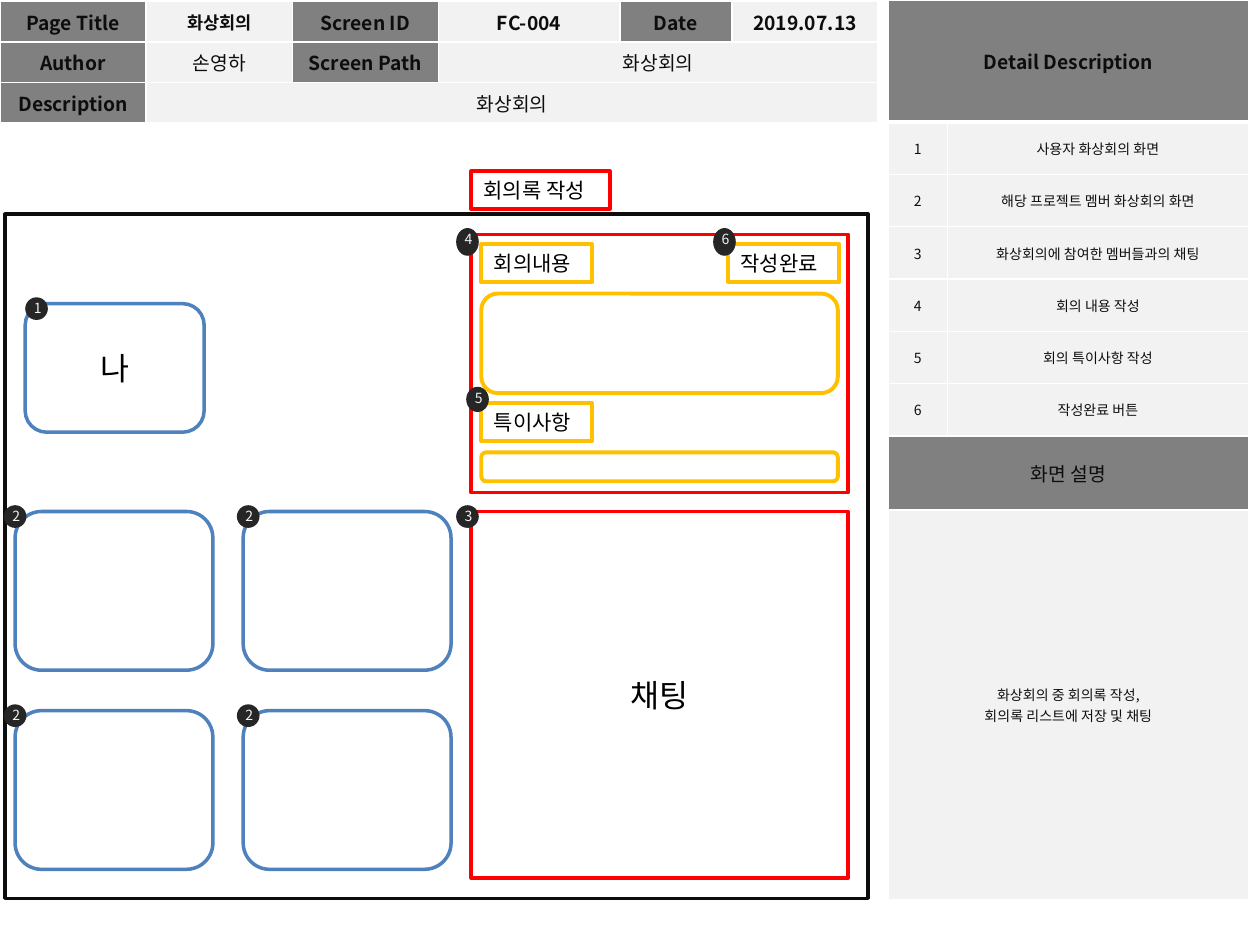
import pptx
import pptx.util
import pptx.dml.color
import pptx.enum.shapes
import pptx.enum.text
import pptx.oxml
import pptx.oxml.ns
from lxml import etree

Inches = pptx.util.Inches
Pt = pptx.util.Pt
RGB = pptx.dml.color.RGBColor.from_string
SHAPE = pptx.enum.shapes.MSO_SHAPE
ALIGN = pptx.enum.text.PP_ALIGN
MIDDLE = pptx.enum.text.MSO_ANCHOR.MIDDLE
FONT = "Noto Sans CJK KR"
COLORS = {
    "heading": "808080", "value": "F2F2F2", "ink": "0D0D0D", "black": "000000",
    "white": "FFFFFF", "badge": "262626", "video": "4F81BD", "panel": "FF0000",
    "field": "FFC000",
}


def write(frame, text, size, color, bold=False, align=ALIGN.CENTER):
    frame.text = text
    for paragraph in frame.paragraphs:
        paragraph.alignment = align
        for run in paragraph.runs:
            run.font.size = Pt(size)
            run.font.bold = bold
            run.font.name = FONT
            run.font.color.rgb = RGB(COLORS[color])
            east_asian = etree.SubElement(run.font._element, pptx.oxml.ns.qn("a:ea"))
            east_asian.set("typeface", FONT)


def outline(kind, box, color, width=2, text="", filled=True):
    frame = slide.shapes.add_shape(kind, *[Inches(v) for v in box])
    frame.shadow.inherit = False
    if filled:
        frame.fill.solid()
        frame.fill.fore_color.rgb = RGB(COLORS["white"])
    else:
        frame.fill.background()
    frame.line.color.rgb = RGB(COLORS[color])
    frame.line.width = Pt(width)
    if text:
        frame.text_frame.vertical_anchor = MIDDLE
        write(frame.text_frame, text, 18, "black")


deck = pptx.Presentation()
deck.slide_width, deck.slide_height = Inches(10), Inches(7.5)
slide = deck.slides.add_slide(deck.slide_layouts[6])

page_info = {
    "box": (0, 0.01, 6.97, 0.95),
    "columns": [1.16, 1.16, 1.16, 1.44, 0.89, 1.16],
    "rows": [0.31, 0.32, 0.32],
    "merges": [(1, 3, 5), (2, 1, 5)],
    "thick_row": None,
    "cells": [
        (0, 0, "Page Title", 11, True, "heading"),
        (0, 1, "화상회의", 10, True, "value"),
        (0, 2, "Screen ID", 11, True, "heading"),
        (0, 3, "FC-004", 11, True, "value"),
        (0, 4, "Date", 11, True, "heading"),
        (0, 5, "2019.07.13", 11, True, "value"),
        (1, 0, "Author", 11, True, "heading"),
        (1, 1, "손영하", 11, False, "value"),
        (1, 2, "Screen Path", 11, True, "heading"),
        (1, 3, "화상회의", 11, False, "value"),
        (2, 0, "Description", 11, True, "heading"),
        (2, 1, "화상회의", 11, False, "value"),
    ],
}
details = [
    "사용자 화상회의 화면", "해당 프로젝트 멤버 화상회의 화면",
    "화상회의에 참여한 멤버들과의 채팅", "회의 내용 작성",
    "회의 특이사항 작성", "작성완료 버튼",
]
description = {
    "box": (7.05, 0, 2.86, 7.13),
    "columns": [0.47, 2.39],
    "rows": [0.97] + [0.415] * 6 + [0.59, 3.09],
    "merges": [(0, 0, 1), (7, 0, 1), (8, 0, 1)],
    "thick_row": 0,
    "cells": [
        (0, 0, "Detail Description", 11, True, "heading"),
        (7, 0, "화면 설명", 11, False, "heading"),
        (8, 0, "화상회의 중 회의록 작성,\n회의록 리스트에 저장 및 채팅", 8, False, "value"),
    ],
}
for number, detail in enumerate(details, 1):
    description["cells"] += [
        (number, 0, str(number), 8, False, "value"),
        (number, 1, detail, 8, False, "value"),
    ]

for part in (page_info, description):
    table = slide.shapes.add_table(
        len(part["rows"]), len(part["columns"]), *[Inches(v) for v in part["box"]]
    ).table
    table.first_row = table.horz_banding = False
    for column, width in zip(table.columns, part["columns"]):
        column.width = Inches(width)
    for row, height in zip(table.rows, part["rows"]):
        row.height = Inches(height)
    for row, first, last in part["merges"]:
        table.cell(row, first).merge(table.cell(row, last))
    for row in range(len(part["rows"])):
        for column in range(len(part["columns"])):
            properties = table.cell(row, column)._tc.get_or_add_tcPr()
            for side in "LRTB":
                thick = (row == part["thick_row"] and side == "B") or (
                    part["thick_row"] is not None and row == part["thick_row"] + 1 and side == "T")
                border = etree.SubElement(properties, pptx.oxml.ns.qn("a:ln" + side))
                border.set("w", str(Pt(3 if thick else 1)))
                paint = etree.SubElement(border, pptx.oxml.ns.qn("a:solidFill"))
                etree.SubElement(paint, pptx.oxml.ns.qn("a:srgbClr")).set("val", COLORS["white"])
    for row, column, text, size, bold, fill in part["cells"]:
        cell = table.cell(row, column)
        cell.fill.solid()
        cell.fill.fore_color.rgb = RGB(COLORS[fill])
        cell.vertical_anchor = MIDDLE
        write(cell.text_frame, text, size, "ink", bold)

outline(SHAPE.RECTANGLE, (0.04, 1.7, 6.85, 5.43), "ink", filled=False)
outline(SHAPE.ROUNDED_RECTANGLE, (0.2, 2.41, 1.42, 1.02), "video", text="나")
for top in (4.06, 5.64):
    for left, width in ((0.12, 1.57), (1.93, 1.65)):
        outline(SHAPE.ROUNDED_RECTANGLE, (left, top, width, 1.26), "video")
outline(SHAPE.RECTANGLE, (3.74, 4.06, 2.99, 2.91), "panel", text="채팅")
outline(SHAPE.RECTANGLE, (3.74, 1.86, 2.99, 2.05), "panel")
for top, height in ((2.33, 0.79), (3.59, 0.23)):
    outline(SHAPE.ROUNDED_RECTANGLE, (3.82, top, 2.83, height), "field", 2.25)

for text, left, top, width, color in (
    ("회의록 작성", 3.74, 1.36, 1.1, "panel"),
    ("회의내용", 3.82, 1.94, 0.88, "field"),
    ("특이사항", 3.82, 3.2, 0.88, "field"),
    ("작성완료", 5.78, 1.94, 0.88, "field"),
):
    label = slide.shapes.add_textbox(Inches(left), Inches(top), Inches(width), Inches(0.3))
    label.line.color.rgb = RGB(COLORS[color])
    label.line.width = Pt(2.25)
    label.text_frame.word_wrap = False
    write(label.text_frame, text, 12, "black", align=ALIGN.LEFT)

for number, left, top, height in (
    ("1", 0.2, 2.36, 0.18),
    ("2", 0.03, 4.01, 0.18), ("2", 1.88, 4.01, 0.18),
    ("2", 0.03, 5.59, 0.18), ("2", 1.88, 5.59, 0.18),
    ("3", 3.62, 4.01, 0.18), ("4", 3.62, 1.81, 0.22),
    ("5", 3.7, 3.07, 0.2), ("6", 5.66, 1.81, 0.22),
):
    badge = slide.shapes.add_group_shape()
    disc = badge.shapes.add_shape(
        SHAPE.OVAL, Inches(left), Inches(top), Inches(0.18), Inches(height))
    disc.shadow.inherit = False
    disc.fill.solid()
    disc.fill.fore_color.rgb = RGB(COLORS["badge"])
    disc.line.fill.background()
    digit = badge.shapes.add_textbox(
        Inches(left - 0.03), Inches(top - 0.03), Inches(0.26), Inches(0.24))
    digit.text_frame.word_wrap = False
    write(digit.text_frame, number, 8, "value", align=ALIGN.LEFT)

deck.save("out.pptx")
